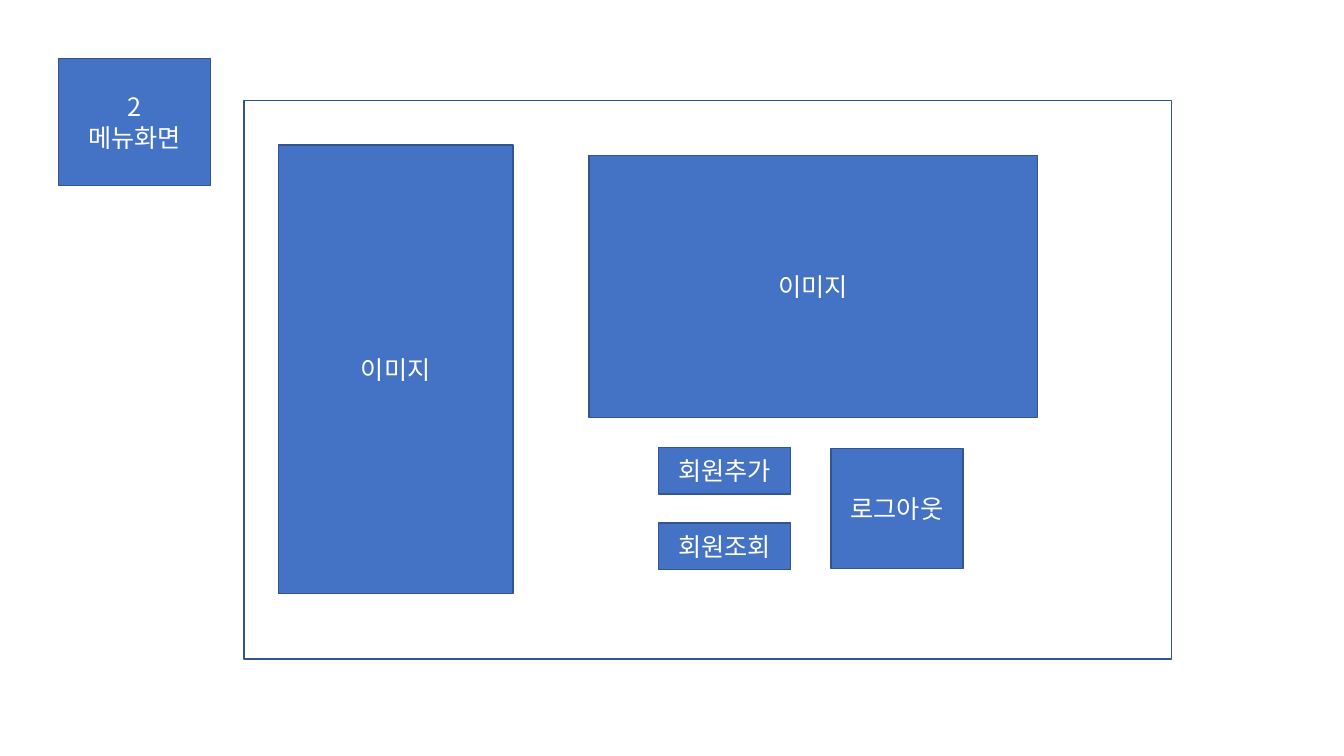
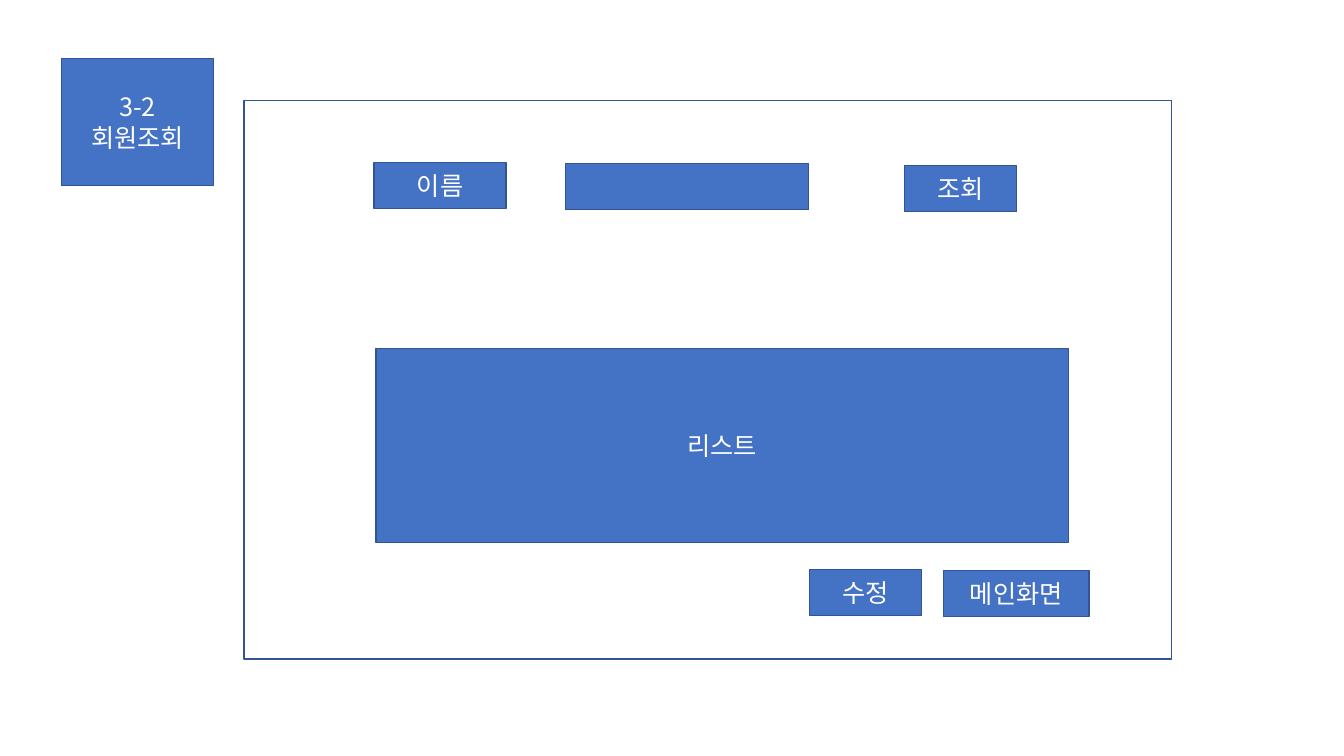
import pptx
import pptx.util
import pptx.dml.color
import pptx.enum.shapes
import pptx.enum.text
import pptx.oxml.ns
import lxml.etree

Inches = pptx.util.Inches
BLUE = pptx.dml.color.RGBColor(0x44, 0x72, 0xC4)
NAVY = pptx.dml.color.RGBColor(0x32, 0x54, 0x91)
WHITE = pptx.dml.color.RGBColor(0xFF, 0xFF, 0xFF)
FONT = "Noto Sans CJK KR"

FONT_FORMAT = {"name": FONT, "size": pptx.util.Pt(18), "bold": False}
FRAME_FORMAT = {
    "word_wrap": True,
    "auto_size": pptx.enum.text.MSO_AUTO_SIZE.NONE,
    "vertical_anchor": pptx.enum.text.MSO_ANCHOR.MIDDLE,
}

WINDOW = (2.42, 1, 9.2, 5.54)
BADGE_TOP, BADGE_WIDTH, BADGE_HEIGHT = 0.58, 1.51, 1.26
BUTTON_HEIGHT = 0.46

SCREENS = [
    {
        "title": ["2", "메뉴화면"],
        "badge_left": 0.58,
        "parts": [
            ("이미지", 2.76, 1.44, 2.33, 4.45),
            ("이미지", 5.84, 1.54, 4.45, 2.6),
            ("회원추가", 6.53, 4.44, 1.31, BUTTON_HEIGHT),
            ("로그아웃", 8.24, 4.45, 1.31, 1.19),
            ("회원조회", 6.53, 5.19, 1.31, BUTTON_HEIGHT),
        ],
    },
    {
        "title": ["3-2", "회원조회"],
        "badge_left": 0.61,
        "parts": [
            ("이름", 3.71, 1.61, 1.31, BUTTON_HEIGHT),
            ("", 5.61, 1.62, 2.41, BUTTON_HEIGHT),
            ("조회", 8.97, 1.64, 1.11, BUTTON_HEIGHT),
            ("리스트", 3.73, 3.46, 6.87, 1.92),
            ("수정", 8.03, 5.65, 1.11, BUTTON_HEIGHT),
            ("메인화면", 9.36, 5.66, 1.44, BUTTON_HEIGHT),
        ],
    },
]


def apply(target, values):
    for name, value in values.items():
        setattr(target, name, value)


def outline(shape):
    shape.line.color.rgb = NAVY
    shape.line.width = pptx.util.Pt(1)


def paint(shape):
    shape.fill.solid()
    shape.fill.fore_color.rgb = BLUE
    outline(shape)


def write(shape, lines):
    frame = shape.text_frame
    frame.text = "\n".join(lines)
    apply(frame, FRAME_FORMAT)
    for paragraph in frame.paragraphs:
        paragraph.alignment = pptx.enum.text.PP_ALIGN.CENTER
        for run in paragraph.runs:
            apply(run.font, FONT_FORMAT)
            run.font.color.rgb = WHITE
            east_asian = lxml.etree.Element(pptx.oxml.ns.qn("a:ea"), typeface=FONT)
            run.font._element.find(pptx.oxml.ns.qn("a:latin")).addnext(east_asian)


def add_box(slide, *place):
    box = slide.shapes.add_shape(
        pptx.enum.shapes.MSO_SHAPE.RECTANGLE, *map(Inches, place))
    box.shadow.inherit = False
    return box


def add_screen(deck, screen):
    slide = deck.slides.add_slide(deck.slide_layouts.get_by_name("Title Only"))

    badge = slide.shapes.title
    apply(badge, {
        "left": Inches(screen["badge_left"]),
        "top": Inches(BADGE_TOP),
        "width": Inches(BADGE_WIDTH),
        "height": Inches(BADGE_HEIGHT),
    })
    paint(badge)
    write(badge, screen["title"])

    window = add_box(slide, *WINDOW)
    window.fill.background()
    outline(window)

    for label, *place in screen["parts"]:
        part = add_box(slide, *place)
        paint(part)
        if label:
            write(part, [label])


def main():
    deck = pptx.Presentation()
    deck.slide_width, deck.slide_height = Inches(13.33), Inches(7.5)
    for screen in SCREENS:
        add_screen(deck, screen)
    deck.save("out.pptx")


if __name__ == "__main__":
    main()
